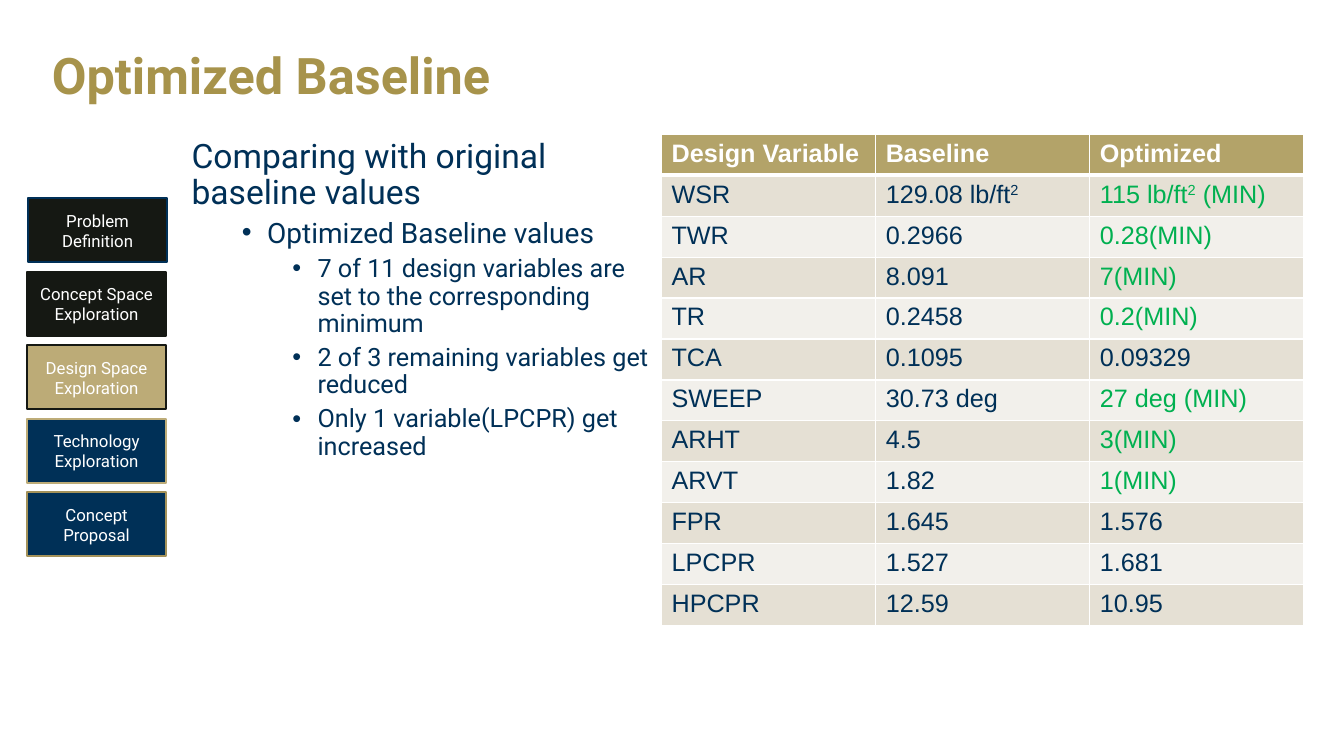
from dataclasses import dataclass

from lxml import etree
from pptx import Presentation
from pptx.dml.color import RGBColor
from pptx.enum.shapes import MSO_SHAPE
from pptx.enum.text import MSO_ANCHOR, PP_ALIGN
from pptx.oxml.ns import qn
from pptx.util import Emu, Pt

RECT = MSO_SHAPE.RECTANGLE
TOP, MIDDLE = MSO_ANCHOR.TOP, MSO_ANCHOR.MIDDLE
LEFT, CENTER = PP_ALIGN.LEFT, PP_ALIGN.CENTER

SCALE = 9525  # EMU in one px
NAVY, BLACK, WHITE, GREEN = "003057", "151813", "FFFFFF", "00B050"
GOLD, SAND, PALE = "B3A369", "E5E0D4", "F2F0EB"
BOX_W, BOX_H, BOX_TOP, BOX_STEP = 132, 61, 189, 70
COL_W, ROW_H = 204, 39


@dataclass
class Step:
    text: str
    fill: str
    line: str
    left: int = 26


@dataclass
class Point:
    text: str
    size: int
    indent: int = 0


STEPS = [
    Step("Problem Definition", BLACK, NAVY, 27),
    Step("Concept Space Exploration", BLACK, BLACK),
    Step("Design Space Exploration", "BCAB77", BLACK),
    Step("Technology Exploration", NAVY, "BDAC78"),
    Step("Concept Proposal", NAVY, "A4925A"),
]

POINTS = [
    Point("Comparing with original baseline values", 24),
    Point("Optimized Baseline values", 20, 72),
    Point("7 of 11 design variables are set to the corresponding minimum", 18, 120),
    Point("2 of 3 remaining variables get reduced", 18, 120),
    Point("Only 1 variable(LPCPR) get increased", 18, 120),
]

# Text between carets is raised
ROWS = [
    ("Design Variable", "Baseline", "Optimized"),
    ("WSR", "129.08 lb/ft^2^", "115 lb/ft^2^ (MIN)"),
    ("TWR", "0.2966", "0.28(MIN)"),
    ("AR", "8.091", "7(MIN)"),
    ("TR", "0.2458", "0.2(MIN)"),
    ("TCA", "0.1095", "0.09329"),
    ("SWEEP", "30.73 deg", "27 deg (MIN)"),
    ("ARHT", "4.5", "3(MIN)"),
    ("ARVT", "1.82", "1(MIN)"),
    ("FPR", "1.645", "1.576"),
    ("LPCPR", "1.527", "1.681"),
    ("HPCPR", "12.59", "10.95"),
]


def px(count: int) -> Emu:
    return Emu(count * SCALE)


def color(code: str) -> RGBColor:
    return RGBColor.from_string(code)


def write(para, text: str, *, size: int, hue: str, font: str = "Roboto",
          bold: bool = False, align=LEFT, spacing: float = 1.0,
          before: int = 0, indent: int = 0) -> None:
    para.alignment = align
    para.line_spacing = spacing
    para.space_before = Pt(before)
    if indent:
        props = para._p.get_or_add_pPr()
        props.set("marL", str(px(indent)))
        props.set("indent", str(px(-24)))
        etree.SubElement(props, qn("a:buFont")).set("typeface", "Arial")
        etree.SubElement(props, qn("a:buChar")).set("char", "•")
    for index, part in enumerate(text.split("^")):
        if not part:
            continue
        run = para.add_run()
        run.text = part
        run.font.name = font
        run.font.size = Pt(size)
        run.font.bold = bold
        run.font.color.rgb = color(hue)
        if index % 2:
            run.font._element.set("baseline", "30000")


def add_box(slide, left: int, top: int, width: int, height: int, anchor=TOP):
    frame = slide.shapes.add_textbox(px(left), px(top), px(width), px(height)).text_frame
    frame.word_wrap = True
    frame.vertical_anchor = anchor
    return frame


def add_step(slide, step: Step, top: int) -> None:
    box = slide.shapes.add_shape(RECT, px(step.left), px(top), px(BOX_W), px(BOX_H))
    box.shadow.inherit = False
    box.fill.solid()
    box.fill.fore_color.rgb = color(step.fill)
    box.line.color.rgb = color(step.line)
    box.line.width = Pt(1.5)
    box.text_frame.word_wrap = True
    box.text_frame.vertical_anchor = MIDDLE
    write(box.text_frame.paragraphs[0], step.text, size=12, hue=WHITE, align=CENTER)


def add_edges(cell, row: int) -> None:
    props = cell._tc.get_or_add_tcPr()
    heavy = {0: "lnB", 1: "lnT"}.get(row)
    for side in ("lnL", "lnR", "lnT", "lnB"):
        edge = etree.SubElement(props, qn(f"a:{side}"))
        edge.set("w", str(Pt(3 if side == heavy else 1)))
        fill = etree.SubElement(edge, qn("a:solidFill"))
        etree.SubElement(fill, qn("a:srgbClr")).set("val", WHITE)


def add_grid(slide, left: int, top: int) -> None:
    count = len(ROWS[0])
    grid = slide.shapes.add_table(len(ROWS), count, px(left), px(top),
                                  px(COL_W * count), px(ROW_H * len(ROWS))).table
    for col in grid.columns:
        col.width = px(COL_W)
    for row, values in enumerate(ROWS):
        grid.rows[row].height = px(ROW_H)
        head = row == 0
        shade = GOLD if head else SAND if row % 2 else PALE
        for col, text in enumerate(values):
            cell = grid.cell(row, col)
            add_edges(cell, row)
            cell.fill.solid()
            cell.fill.fore_color.rgb = color(shade)
            hue = WHITE if head else GREEN if "(MIN)" in text else NAVY
            write(cell.text_frame.paragraphs[0], text, size=18, hue=hue,
                  font="Arial", bold=head)


def main() -> None:
    deck = Presentation()
    deck.slide_width, deck.slide_height = px(1280), px(720)
    slide = deck.slides.add_slide(deck.slide_layouts[6])

    # Title
    title = add_box(slide, 40, 21, 1200, 107, MIDDLE)
    write(title.paragraphs[0], "Optimized Baseline", size=36, hue="A7934B",
          bold=True, spacing=0.9)

    # Findings
    body = add_box(slide, 173, 128, 457, 444)
    for index, point in enumerate(POINTS):
        para = body.add_paragraph() if index else body.paragraphs[0]
        write(para, point.text, size=point.size, hue=NAVY, spacing=0.9,
              before=5 if index else 0, indent=point.indent)

    # Design variables
    add_grid(slide, 630, 128)

    # Process steps
    for index, step in enumerate(STEPS):
        add_step(slide, step, BOX_TOP + index * BOX_STEP)

    deck.save("out.pptx")


if __name__ == "__main__":
    main()
